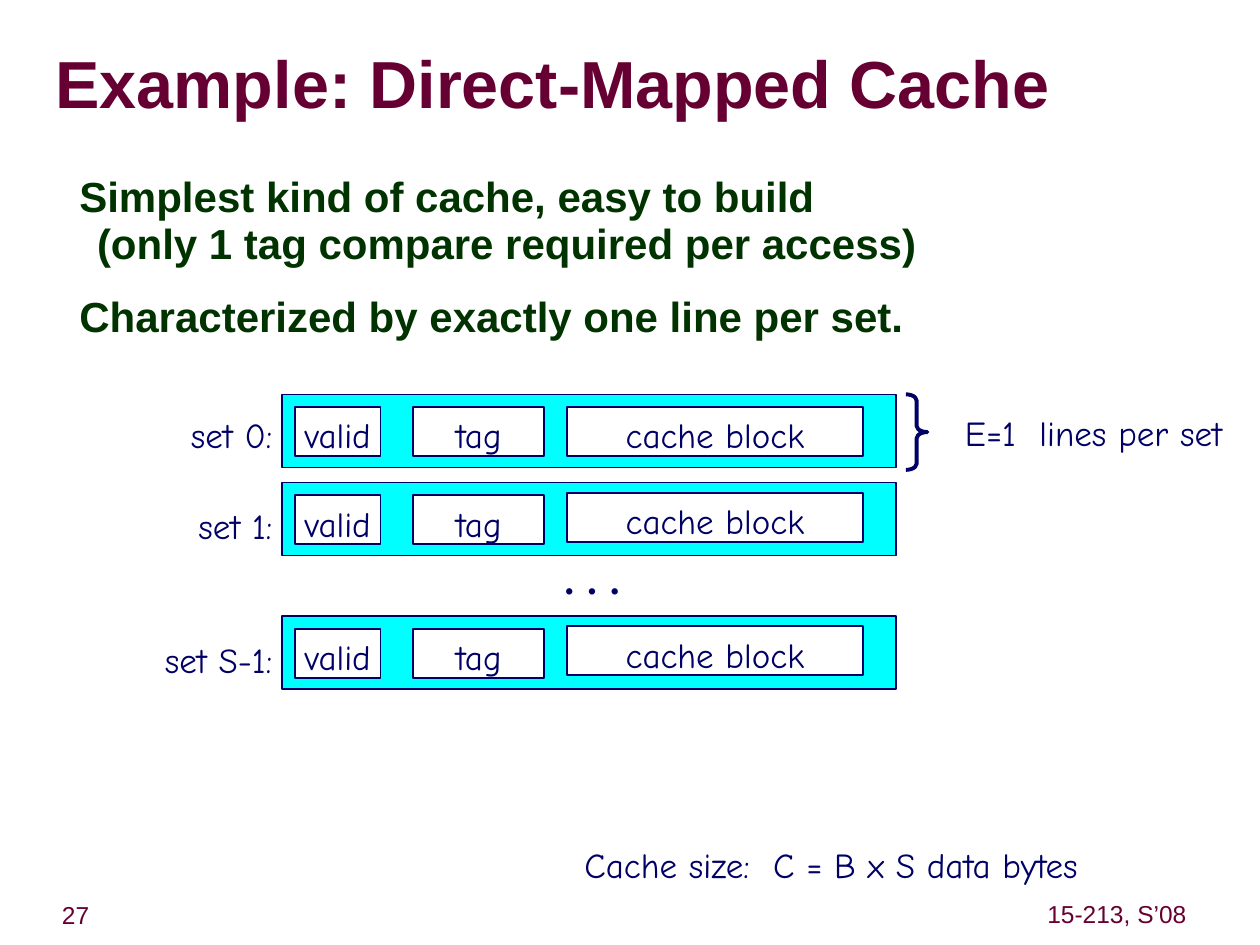
from dataclasses import dataclass

from lxml import etree
from pptx import Presentation
from pptx.dml.color import RGBColor
from pptx.enum.shapes import MSO_SHAPE
from pptx.enum.text import MSO_ANCHOR, MSO_AUTO_SIZE, PP_ALIGN
from pptx.oxml.ns import qn
from pptx.util import Inches, Pt

LEFT, CENTER, RIGHT = PP_ALIGN.LEFT, PP_ALIGN.CENTER, PP_ALIGN.RIGHT
MIDDLE, TOP = MSO_ANCHOR.MIDDLE, MSO_ANCHOR.TOP
NO_AUTOFIT = MSO_AUTO_SIZE.NONE
RECTANGLE, RIGHT_BRACE = MSO_SHAPE.RECTANGLE, MSO_SHAPE.RIGHT_BRACE

MAROON = RGBColor(0x66, 0x00, 0x33)
GREEN = RGBColor(0x00, 0x33, 0x00)
NAVY = RGBColor(0x00, 0x00, 0x66)
CYAN = RGBColor(0x00, 0xFF, 0xFF)
WHITE = RGBColor(0xFF, 0xFF, 0xFF)

SET_LEFT, SET_WIDTH, SET_HEIGHT = 2.24, 4.87, 0.58
FIELD_HEIGHT = 0.39
LABEL_WIDTH, LABEL_RIGHT = 1.2, 2.26
NOTE_HEIGHT = 0.49


@dataclass(frozen=True)
class TextStyle:
    font: str
    size: float
    color: RGBColor
    line_spacing: float
    bold: bool = False


@dataclass(frozen=True)
class Field:
    text: str
    left: float
    width: float


@dataclass(frozen=True)
class CacheSet:
    label: str
    top: float
    label_offset: float
    block_offset: float


TITLE = TextStyle("Arial", 38, MAROON, 0.85, bold=True)
BODY = TextStyle("Arial", 24, GREEN, 0.93, bold=True)
FOOTER = TextStyle("Arial", 14, MAROON, 0.88)
DIAGRAM = TextStyle("Comic Neue", 20, NAVY, 1.16)

FIELD_OFFSET = 0.1
FIELDS = [Field("valid", 2.34, 0.68), Field("tag", 3.28, 1.04)]
BLOCK = Field("cache block", 4.5, 2.35)
CACHE_SETS = [
    CacheSet("set 0:", 3.13, 0.05, 0.1),
    CacheSet("set 1:", 3.83, 0.07, 0.08),
    CacheSet("set S-1:", 4.89, 0.07, 0.08),
]


def style_paragraph(para, style: TextStyle, align=LEFT) -> None:
    para.alignment = align
    para.line_spacing = style.line_spacing
    for span in para.runs:
        span.font.name = style.font
        span.font.size = Pt(style.size)
        span.font.bold = style.bold
        span.font.color.rgb = style.color


def set_margins(frame, horizontal: float, vertical: float) -> None:
    frame.margin_left = frame.margin_right = Inches(horizontal)
    frame.margin_top = frame.margin_bottom = Inches(vertical)


def place(shape, left: float, top: float, width: float, height: float) -> None:
    shape.left, shape.top = Inches(left), Inches(top)
    shape.width, shape.height = Inches(width), Inches(height)


def write_line(shape, text: str, style: TextStyle, align=CENTER, margin: float = 0.1) -> None:
    """Put one line of text in a shape; centred text may run past its sides."""
    frame = shape.text_frame
    frame.text = text
    frame.word_wrap = align != CENTER
    frame.vertical_anchor = MIDDLE
    set_margins(frame, margin, 0.05)
    style_paragraph(frame.paragraphs[0], style, align)


def add_note(page, text: str, left: float, top: float, width: float,
             align=CENTER, style: TextStyle = DIAGRAM,
             height: float = NOTE_HEIGHT, margin: float = 0.1) -> None:
    box = page.shapes.add_textbox(Inches(left), Inches(top), Inches(width), Inches(height))
    write_line(box, text, style, align, margin)


def add_box(page, left: float, top: float, width: float, height: float, fill: RGBColor):
    box = page.shapes.add_shape(
        RECTANGLE, Inches(left), Inches(top), Inches(width), Inches(height))
    box.shadow.inherit = False
    box.fill.solid()
    box.fill.fore_color.rgb = fill
    box.line.color.rgb = NAVY
    box.line.width = Pt(1)
    return box


def add_field(page, field: Field, top: float) -> None:
    box = add_box(page, field.left, top, field.width, FIELD_HEIGHT, WHITE)
    write_line(box, field.text, DIAGRAM)


def add_cache_set(page, cache_set: CacheSet) -> None:
    add_box(page, SET_LEFT, cache_set.top, SET_WIDTH, SET_HEIGHT, CYAN)
    for field in FIELDS:
        add_field(page, field, cache_set.top + FIELD_OFFSET)
    add_field(page, BLOCK, cache_set.top + cache_set.block_offset)
    add_note(page, cache_set.label, LABEL_RIGHT - LABEL_WIDTH,
             cache_set.top + cache_set.label_offset, LABEL_WIDTH, RIGHT)


def add_brace(page) -> None:
    brace = page.shapes.add_shape(
        RIGHT_BRACE, Inches(7.19), Inches(3.13), Inches(0.17), Inches(0.6))
    brace.shadow.inherit = False
    brace.adjustments[0] = 0.29
    brace.fill.background()
    brace.line.color.rgb = NAVY
    brace.line.width = Pt(2.25)


def fill_title(page) -> None:
    title = page.shapes.title
    place(title, 0.44, 0.27, 9.53, 0.86)
    frame = title.text_frame
    frame.text = "Example: Direct-Mapped Cache"
    frame.vertical_anchor = MIDDLE
    frame.auto_size = NO_AUTOFIT
    set_margins(frame, 0, 0)
    style_paragraph(frame.paragraphs[0], TITLE)


def fill_body(page) -> None:
    body = page.placeholders[1]
    place(body, 0.32, 1.34, 9.09, 5.71)
    frame = body.text_frame
    frame.auto_size = NO_AUTOFIT
    frame.vertical_anchor = TOP
    set_margins(frame, 0.1, 0.05)
    first = frame.paragraphs[0]
    first.text = "Simplest kind of cache, easy to build\v(only 1 tag compare required per access)"
    second = frame.add_paragraph()
    second.text = "Characterized by exactly one line per set."
    for para, space in ((first, 0), (second, 15)):
        properties = para._p.get_or_add_pPr()
        properties.set("marL", str(Inches(0.35)))
        properties.set("indent", str(Inches(-0.14)))
        etree.SubElement(properties, qn("a:buNone"))
        para.space_before = Pt(space)
        style_paragraph(para, BODY)


def main() -> None:
    deck = Presentation()
    deck.slide_width, deck.slide_height = Inches(10), Inches(7.5)
    page = deck.slides.add_slide(deck.slide_layouts[1])
    fill_title(page)
    fill_body(page)
    for cache_set in CACHE_SETS:
        add_cache_set(page, cache_set)
    add_note(page, "• • •", 4.2, 4.38, 1)
    add_brace(page)
    add_note(page, "E=1  lines per set", 7.56, 3.16, 2.24)
    add_note(page, "Cache size:  C = B x S data bytes", 4.54, 6.59, 4.3, LEFT)
    add_note(page, "27", 0.08, 7.12, 1.04, style=FOOTER, height=0.31, margin=0.05)
    add_note(page, "15-213, S’08", 8.26, 7.11, 1.21, style=FOOTER, height=0.31, margin=0.05)
    deck.save("out.pptx")


if __name__ == "__main__":
    main()
